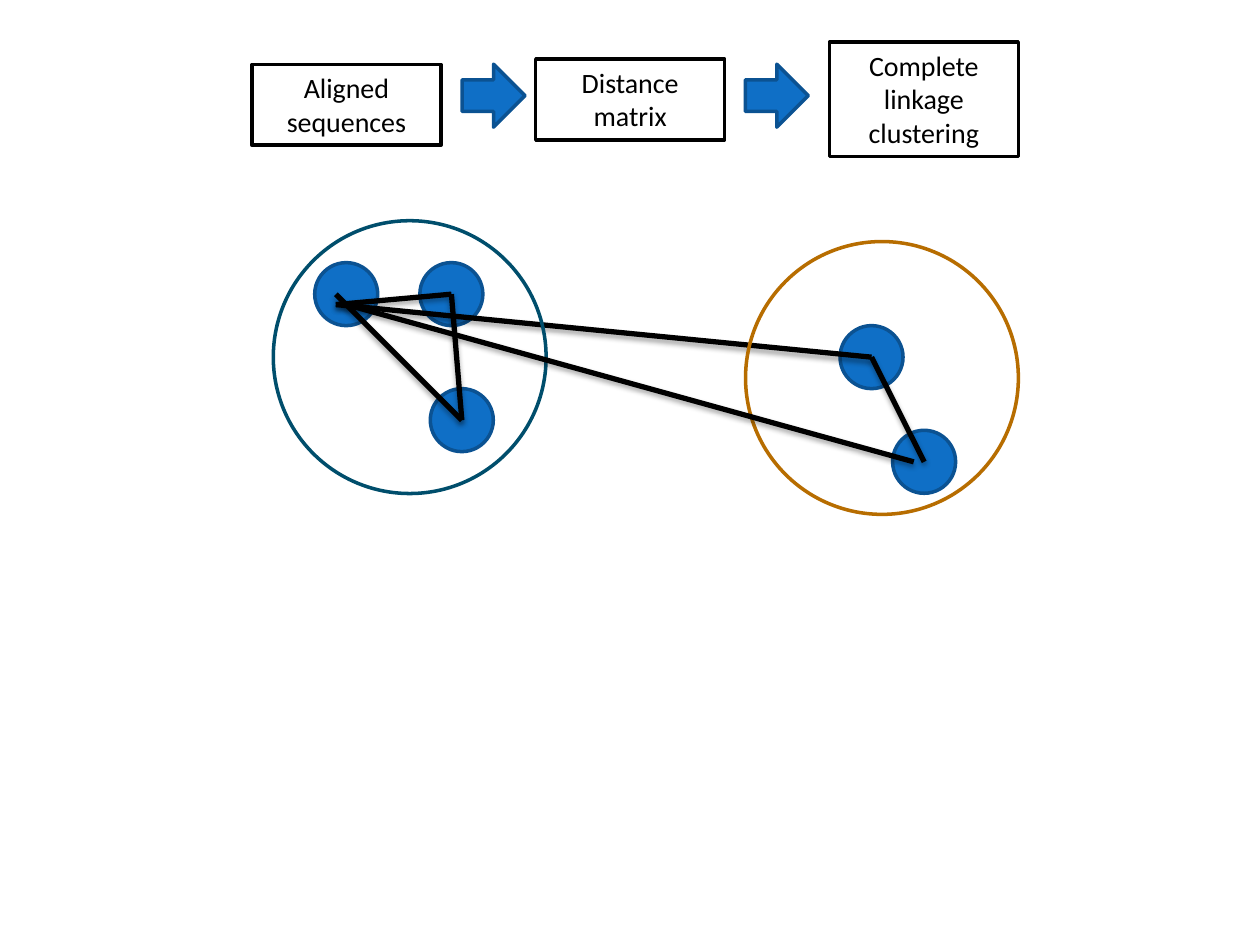
"""Build a slide on complete linkage clustering of aligned sequences."""
from dataclasses import dataclass

from lxml.etree import SubElement
from pptx import Presentation
from pptx.dml.color import RGBColor as Color
from pptx.enum.shapes import MSO_CONNECTOR as Connector, MSO_SHAPE as Preset
from pptx.enum.text import MSO_AUTO_SIZE as AutoSize, PP_ALIGN as Align
from pptx.oxml.ns import qn
from pptx.util import Cm, Pt


@dataclass(frozen=True)
class Theme:
    font: str = "Calibri"
    text_size: int = 16
    outline_width: int = 2
    link_width: int = 3
    ink: str = "000000"
    paper: str = "FFFFFF"
    accent: str = "0F6FC6"
    accent_edge: str = "0B5292"
    left_cluster: str = "004E6C"
    right_cluster: str = "B76D00"


class Diagram:
    def __init__(self, slide, theme):
        self.slide = slide
        self.theme = theme

    def paint(self, shape, fill, edge):
        if fill:
            shape.fill.solid()
            shape.fill.fore_color.rgb = Color.from_string(fill)
        else:
            shape.fill.background()
        shape.line.color.rgb = Color.from_string(edge)
        shape.line.width = Pt(self.theme.outline_width)
        shape.shadow.inherit = False

    def preset(self, kind, center, size, fill, edge):
        x, y = center
        shape = self.slide.shapes.add_shape(
            kind, Cm(x - size / 2), Cm(y - size / 2), Cm(size), Cm(size))
        self.paint(shape, fill, edge)

    def node(self, center):
        self.preset(Preset.OVAL, center, 1.27, self.theme.accent, self.theme.accent_edge)

    def cluster(self, center, edge):
        self.preset(Preset.OVAL, center, 5.5, None, edge)

    def arrow(self, center):
        self.preset(Preset.RIGHT_ARROW, center, 1.27, self.theme.accent, self.theme.accent_edge)

    def step(self, text, left, top, height):
        box = self.slide.shapes.add_textbox(Cm(left), Cm(top), Cm(3.81), Cm(height))
        self.paint(box, self.theme.paper, self.theme.ink)
        frame = box.text_frame
        frame.word_wrap = True
        frame.auto_size = AutoSize.SHAPE_TO_FIT_TEXT
        frame.text = text
        paragraph = frame.paragraphs[0]
        paragraph.alignment = Align.CENTER
        font = paragraph.runs[0].font
        font.name = self.theme.font
        font.size = Pt(self.theme.text_size)
        font.color.rgb = Color.from_string(self.theme.ink)

    def link(self, start, end):
        line = self.slide.shapes.add_connector(
            Connector.STRAIGHT, *(Cm(value) for value in (*start, *end)))
        line.line.color.rgb = Color.from_string(self.theme.ink)
        line.line.width = Pt(self.theme.link_width)
        effects = SubElement(line._element.spPr, qn("a:effectLst"))
        shadow = SubElement(
            effects, qn("a:outerShdw"), blurRad=str(Pt(3.1)), dist=str(Pt(1.8)),
            dir="5400000", rotWithShape="0")
        color = SubElement(shadow, qn("a:srgbClr"), val=self.theme.ink)
        SubElement(color, qn("a:alpha"), val="35000")


def main():
    presentation = Presentation()
    presentation.slide_width, presentation.slide_height = Cm(25.4), Cm(19.05)
    slide = presentation.slides.add_slide(presentation.slide_layouts[6])
    theme = Theme()
    diagram = Diagram(slide, theme)

    first, second, third = (6.98, 5.93), (9.1, 5.93), (9.31, 8.47)
    fourth, fifth = (17.57, 7.2), (18.63, 9.31)
    hub = (6.77, 6.14)

    for center in (fifth, third, first, fourth, second):
        diagram.node(center)
    for start, end in ((hub, fourth), (hub, second), (fourth, fifth), ((6.77, 5.93), third)):
        diagram.link(start, end)
    diagram.cluster((8.26, 7.2), theme.left_cluster)
    diagram.cluster((17.78, 7.62), theme.right_cluster)
    diagram.link((6.98, 6.14), (18.42, 9.31))
    diagram.link(second, third)

    for text, left, top, height in (
            ("Aligned sequences", 5.08, 1.3, 1.63),
            ("Distance matrix", 10.8, 1.19, 1.63),
            ("Complete linkage clustering", 16.72, 0.85, 2.31)):
        diagram.step(text, left, top, height)
    for x in (9.95, 15.66):
        diagram.arrow((x, 1.93))

    presentation.save("out.pptx")


if __name__ == "__main__":
    main()
